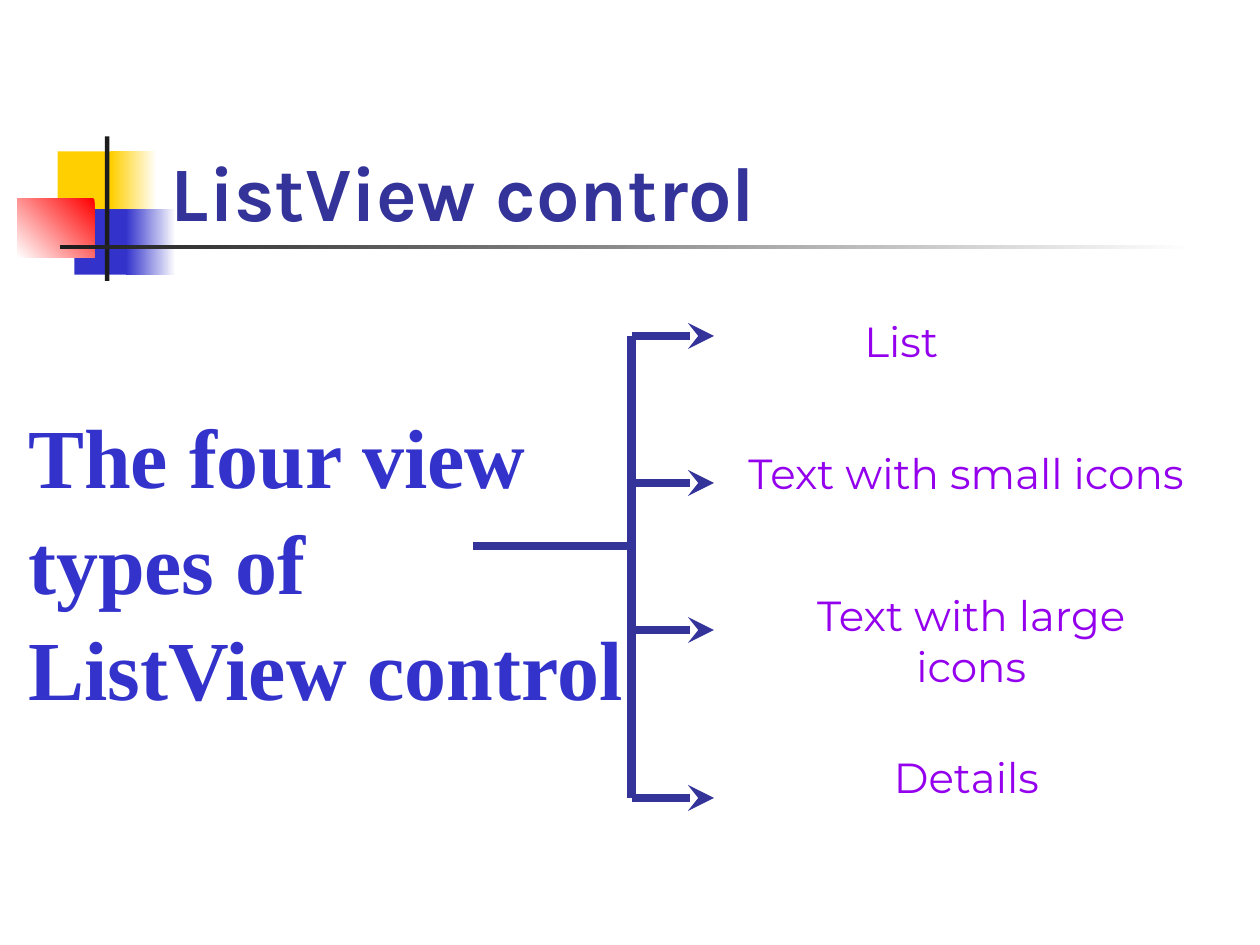
from pptx import Presentation
from pptx.dml.color import RGBColor
from pptx.enum import shapes, text
from pptx.oxml.ns import qn
from pptx.util import Pt
from lxml import etree

NAVY, BLUE, YELLOW, RED = "333399", "3333CC", "FFCF01", "FF0000"
BLACK, WHITE, PURPLE = "1C1C1C", "FFFFFF", "9400ED"

TITLE = "ListView control"
TOPIC = ["The four view", "types of", "ListView control"]
# text, box (left, top, width, height)
VIEWS = [
    ("List", (420, 177, 190, 45)),
    ("Text with small icons", (420, 252, 264, 48)),
    ("Text with large icons", (426, 333.5, 258, 57)),
    ("Details", (432, 426, 240.5, 36)),
]
# box, colours (two make a gradient), clockwise angle
ORNAMENT = [
    ((33, 86.5, 34.5, 37.5), [YELLOW], 0),
    ((63.5, 86.5, 26, 37.5), [WHITE, YELLOW], 180),
    ((42.5, 119.5, 33, 37.5), [BLUE], 0),
    ((72, 119.5, 28.5, 37.5), [WHITE, BLUE], 180),
    ((10, 113.5, 44, 33.5), [RED, WHITE], 135),
    ((60, 78, 2.5, 82.5), [BLACK], 0),
    ((34.5, 140, 648, 2.5), [WHITE, BLACK], 180),
]
STEM_X, STEM_START, STEM_Y, ARROW_END = 361, 270, 312, 408
ARROW_YS = [192, 276, 360, 456]


def rgb(color):
    return RGBColor.from_string(color)


def add_block(s, box, colors, angle):
    sp = s.shapes.add_shape(shapes.MSO_SHAPE.RECTANGLE, *map(Pt, box))
    sp.shadow.inherit = False
    sp.line.fill.background()
    if len(colors) == 1:
        sp.fill.solid()
        sp.fill.fore_color.rgb = rgb(colors[0])
        return
    sp.fill.gradient()
    sp.fill.gradient_angle = 360 - angle
    for stop, color in zip(sp.fill.gradient_stops, colors):
        stop.color.rgb = rgb(color)
    for stop, position in zip(sp.fill.gradient_stops, (0, 1)):
        stop.position = position


def add_line(s, x1, y1, x2, y2, arrow=False):
    line = s.shapes.add_connector(shapes.MSO_CONNECTOR.STRAIGHT, *map(Pt, (x1, y1, x2, y2)))
    line.line.width = Pt(5)
    line.line.color.rgb = rgb(NAVY)
    if arrow:
        etree.SubElement(line.line._get_or_add_ln(), qn("a:tailEnd"), type="stealth")
    etree.SubElement(line._element.spPr, qn("a:effectLst"))


def place(sp, box):
    sp.left, sp.top, sp.width, sp.height = map(Pt, box)


def write(sp, lines, font, size, color, bold=False, align="LEFT", anchor="TOP",
          wrap=True, spacing=1.0):
    tf = sp.text_frame
    tf.auto_size = text.MSO_AUTO_SIZE.NONE
    tf.word_wrap = wrap
    tf.vertical_anchor = text.MSO_ANCHOR[anchor]
    for i, line in enumerate(lines):
        p = tf.paragraphs[0] if i == 0 else tf.add_paragraph()
        p.alignment = text.PP_ALIGN[align]
        p.line_spacing = spacing
        r = p.add_run()
        r.text = line
        r.font.name, r.font.size, r.font.bold = font, Pt(size), bold
        r.font.color.rgb = rgb(color)


def main():
    prs = Presentation()
    prs.slide_width, prs.slide_height = Pt(720), Pt(540)
    s = prs.slides.add_slide(prs.slide_layouts[5])

    for box, colors, angle in ORNAMENT:
        add_block(s, box, colors, angle)

    title = s.shapes.title
    s.shapes._spTree.append(title._element)  # in front of the ornament
    place(title, (90.5, 87, 613.5, 52))
    write(title, [TITLE], "Karla", 44, NAVY, bold=True, anchor="BOTTOM")

    add_line(s, STEM_START, STEM_Y, STEM_X, STEM_Y)
    add_line(s, STEM_X, ARROW_YS[0], STEM_X, ARROW_YS[-1])
    for y in ARROW_YS:
        add_line(s, STEM_X, y, ARROW_END, y, arrow=True)

    for view, box in VIEWS:
        sp = s.shapes.add_textbox(*map(Pt, box))
        write(sp, [view], "Montserrat", 24, PURPLE, align="CENTER")

    sp = s.shapes.add_textbox(*map(Pt, (9, 225, 356, 164)))
    write(sp, TOPIC, "Times New Roman", 48, BLUE, bold=True, wrap=False, spacing=1.05)

    prs.save("out.pptx")


if __name__ == "__main__":
    main()
